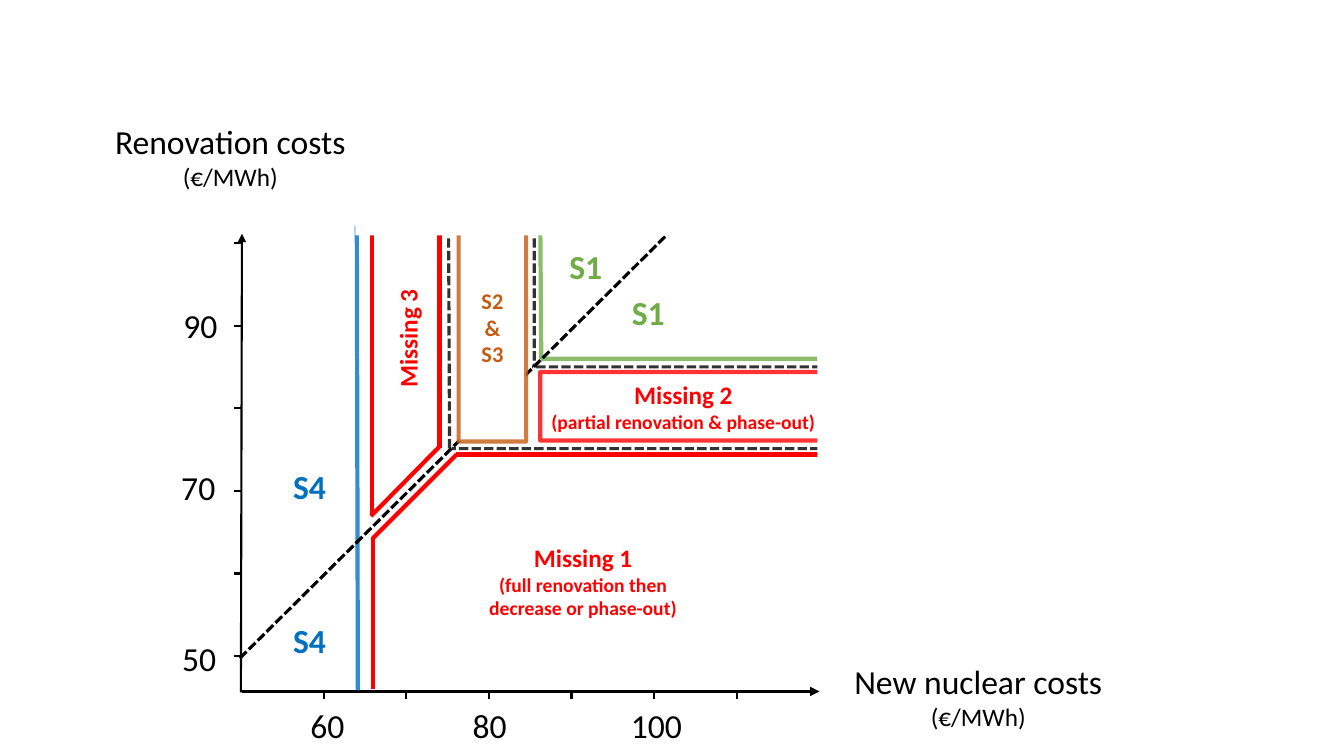
from dataclasses import dataclass

from lxml.etree import SubElement
from pptx import Presentation
from pptx.dml.color import RGBColor
from pptx.enum.dml import MSO_LINE
from pptx.enum.shapes import MSO_CONNECTOR, MSO_SHAPE
from pptx.enum.text import MSO_ANCHOR, MSO_AUTO_SIZE, PP_ALIGN
from pptx.oxml.ns import qn
from pptx.util import Inches, Pt

CELL = Inches(0.1)
COLUMNS, ROWS = 133.33, 75
BLACK, WHITE, RED = "000000", "FFFFFF", "FF0000"
GREEN, BLUE, ORANGE = "70AD47", "0070C0", "C55A11"
FONT = "Calibri"
TICK_STEP, TICK_LENGTH, TICK_COUNT = 8.2, 0.8, 6
Y_AXIS, X_AXIS = 24, 68.5
FIRST_X_TICK, FIRST_Y_TICK = 32.1, 24.1


@dataclass(frozen=True)
class Stroke:
    start: tuple[float, float]
    end: tuple[float, float]
    color: str = RED
    width: float = 3
    dashed: bool = False
    opacity: int = 100
    arrow: bool = False


@dataclass(frozen=True)
class Label:
    box: tuple[float, float, float, float]
    lines: tuple[str, ...]
    sizes: tuple[int, ...] = (24,)
    color: str = BLACK
    bold: bool = True
    centered: bool = False
    wrap: bool = False
    rotation: int = 0


@dataclass(frozen=True)
class Region:
    box: tuple[float, float, float, float]
    color: str | None = None
    lines: tuple[str, ...] = ()
    sizes: tuple[int, ...] = ()


def cells(*counts: float) -> list[int]:
    return [round(count * CELL) for count in counts]


def rgb(color: str) -> RGBColor:
    return RGBColor.from_string(color)


def format_line(line, color: str, width: float, opacity: int) -> None:
    line.color.rgb = rgb(color)
    line.width = Pt(width)
    if opacity < 100:
        tint = line.fill._xPr.find(f"{qn('a:solidFill')}/{qn('a:srgbClr')}")
        SubElement(tint, qn("a:alpha")).set("val", str(opacity * 1000))


def draw_stroke(shapes, stroke: Stroke) -> None:
    connector = shapes.add_connector(
        MSO_CONNECTOR.STRAIGHT, *cells(*stroke.start, *stroke.end))
    format_line(connector.line, stroke.color, stroke.width, stroke.opacity)
    if stroke.dashed:
        connector.line.dash_style = MSO_LINE.SQUARE_DOT
    if stroke.arrow:
        outline = connector.line._get_or_add_ln()
        SubElement(outline, qn("a:tailEnd")).set("type", "triangle")
    SubElement(connector._element.spPr, qn("a:effectLst"))


def write(frame, lines: tuple[str, ...], *, sizes: tuple[int, ...],
          color: str, bold: bool, centered: bool, wrap: bool) -> None:
    frame.word_wrap = wrap
    for index, (line, size) in enumerate(zip(lines, sizes)):
        paragraph = frame.add_paragraph() if index else frame.paragraphs[0]
        paragraph.alignment = PP_ALIGN.CENTER if centered else PP_ALIGN.LEFT
        run = paragraph.add_run()
        run.text = line
        run.font.name = FONT
        run.font.size = Pt(size)
        run.font.bold = bold
        run.font.color.rgb = rgb(color)


def draw_label(shapes, label: Label) -> None:
    textbox = shapes.add_textbox(*cells(*label.box))
    textbox.rotation = label.rotation
    write(textbox.text_frame, label.lines, sizes=label.sizes, color=label.color,
          bold=label.bold, centered=label.centered, wrap=label.wrap)
    textbox.text_frame.auto_size = MSO_AUTO_SIZE.SHAPE_TO_FIT_TEXT


def draw_region(shapes, region: Region) -> None:
    panel = shapes.add_shape(MSO_SHAPE.RECTANGLE, *cells(*region.box))
    panel.shadow.inherit = False
    panel.fill.solid()
    panel.fill.fore_color.rgb = rgb(WHITE)
    if region.color is None:
        panel.line.fill.background()
        return
    format_line(panel.line, region.color, 3, 80)
    panel.text_frame.vertical_anchor = MSO_ANCHOR.MIDDLE
    write(panel.text_frame, region.lines, sizes=region.sizes,
          color=region.color, bold=True, centered=True, wrap=True)


def boundary(start: tuple[float, float], end: tuple[float, float],
             opacity: int = 80) -> Stroke:
    return Stroke(start, end, BLACK, 2.25, dashed=True, opacity=opacity)


def draw_ticks(shapes) -> None:
    across, up = shapes.add_group_shape(), shapes.add_group_shape()
    for index in range(TICK_COUNT):
        x = FIRST_X_TICK + index * TICK_STEP
        y = FIRST_Y_TICK + index * TICK_STEP
        draw_stroke(across.shapes, Stroke(
            (x, X_AXIS), (x, X_AXIS + TICK_LENGTH), BLACK, 1.5))
        draw_stroke(up.shapes, Stroke(
            (Y_AXIS, y), (Y_AXIS - TICK_LENGTH, y), BLACK, 1.5))


BACK_STROKES = (
    Stroke((43.6, 44.4), (43.6, 21.8)),
    Stroke((36.9, 51.1), (36.9, 23.2)),
    Stroke((82.6, 45.1), (45.2, 45.1)),
    Stroke((24, 68.6), (81.3, 68.6), BLACK, 2.25, arrow=True),
    Stroke((23.9, 68.7), (24, 23.2), BLACK, 1.5, arrow=True),
    Stroke((53.6, 22.1), (53.7, 35.6), GREEN, opacity=80),
    Stroke((53.6, 35.6), (81.1, 35.6), GREEN, opacity=80),
    Stroke((35.4, 22.4), (35.5, 68.5), BLUE, opacity=80),
    boundary((44.5, 22.4), (44.6, 44.5)),
    boundary((81.3, 44.5), (44.8, 44.5)),
    boundary((81.5, 36.4), (52.8, 36.4)),
    boundary((53, 22.4), (53, 36.4)),
    boundary((23.8, 65.3), (70.7, 18.8), opacity=100),
)
REGIONS = (
    Region((53.6, 36.9, 28.4, 6.8), RED,
           ("Missing 2", "(partial renovation & phase-out)"), (18, 14)),
    Region((45.5, 21.1, 6.7, 22.7), ORANGE, ("S2", "&", "S3"), (16, 16, 16)),
    Region((81.1, 28.1, 2.5, 40.1)),
    Region((35.25, 15.25, 38.8, 8.1)),
)
FRONT_STROKES = (
    Stroke((37, 68.4), (37, 53.3)),
    Stroke((37, 53.4), (45.3, 45.1)),
    Stroke((36.8, 51.2), (43.6, 44.3)),
)
LABELS = (
    Label((83.6, 65.1, 26.9, 8.1), ("New nuclear costs", "(€/MWh)"), (24, 18),
          bold=False, centered=True),
    Label((10.1, 11.5, 25.5, 8.1), ("Renovation costs", "(€/MWh)"), (24, 18),
          bold=False, centered=True, wrap=True),
    Label((17.1, 62.8, 5.4, 5), ("50",), bold=False),
    Label((17, 45.8, 5.4, 5), ("70",), bold=False),
    Label((17.2, 29.8, 5.4, 5), ("90",), bold=False),
    Label((29.8, 69.4, 5.4, 5), ("60",), bold=False),
    Label((45.9, 69.4, 5.4, 5), ("80",), bold=False),
    Label((61.6, 69.4, 7.1, 5), ("100",), bold=False),
    Label((61.7, 28.5, 5.3, 5), ("S1",), color=GREEN),
    Label((55.5, 23.9, 5.3, 5), ("S1",), color=GREEN),
    Label((28.1, 45.7, 5.3, 5), ("S4",), color=BLUE),
    Label((28.1, 61, 5.3, 5), ("S4",), color=BLUE),
    Label((34.5, 31.5, 11.9, 4), ("Missing 3",), (18,), RED, rotation=270),
    Label((43.5, 53.3, 28.7, 8.8),
          ("Missing 1", "(full renovation then", "decrease or phase-out)"),
          (18, 14, 14), RED, centered=True, wrap=True),
)


def main() -> None:
    deck = Presentation()
    deck.slide_width, deck.slide_height = cells(COLUMNS, ROWS)
    shapes = deck.slides.add_slide(deck.slide_layouts[6]).shapes
    for stroke in BACK_STROKES:
        draw_stroke(shapes, stroke)
    for region in REGIONS:
        draw_region(shapes, region)
    draw_ticks(shapes)
    for label in LABELS:
        draw_label(shapes, label)
    for stroke in FRONT_STROKES:
        draw_stroke(shapes, stroke)
    deck.save("out.pptx")


if __name__ == "__main__":
    main()
